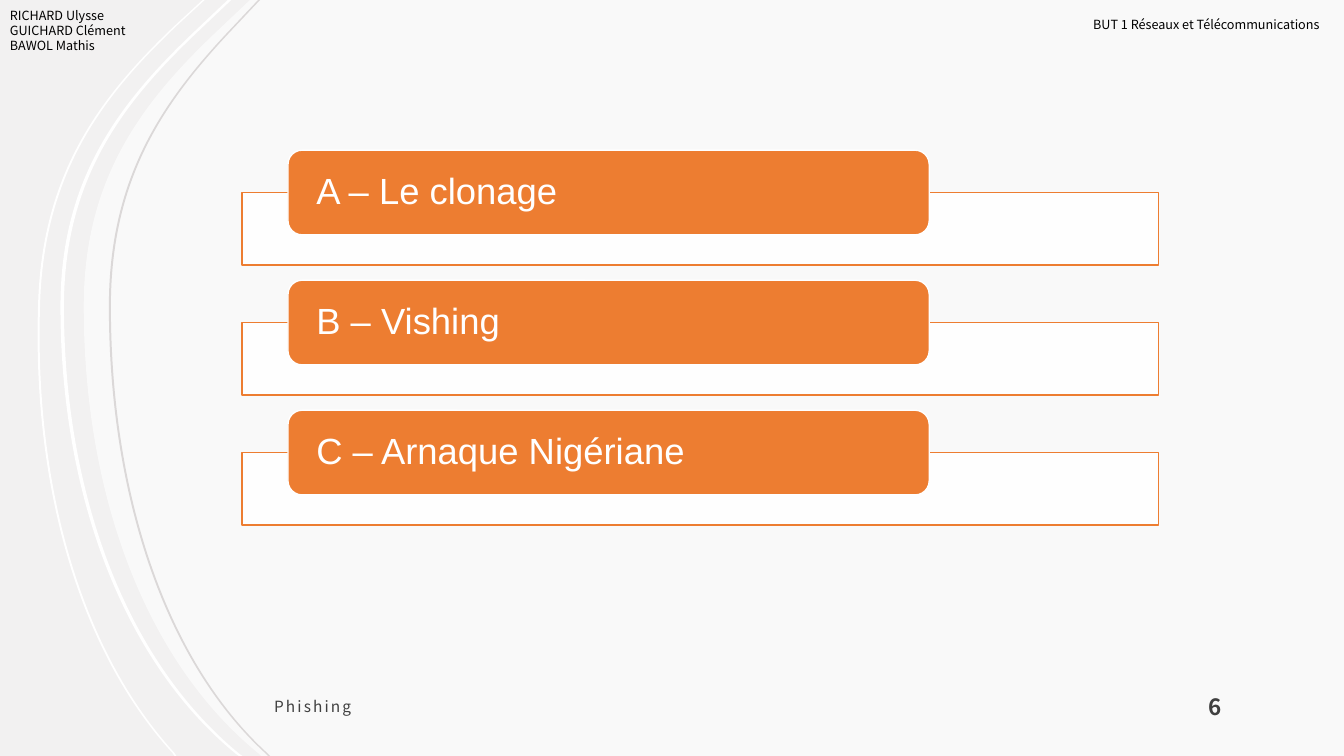
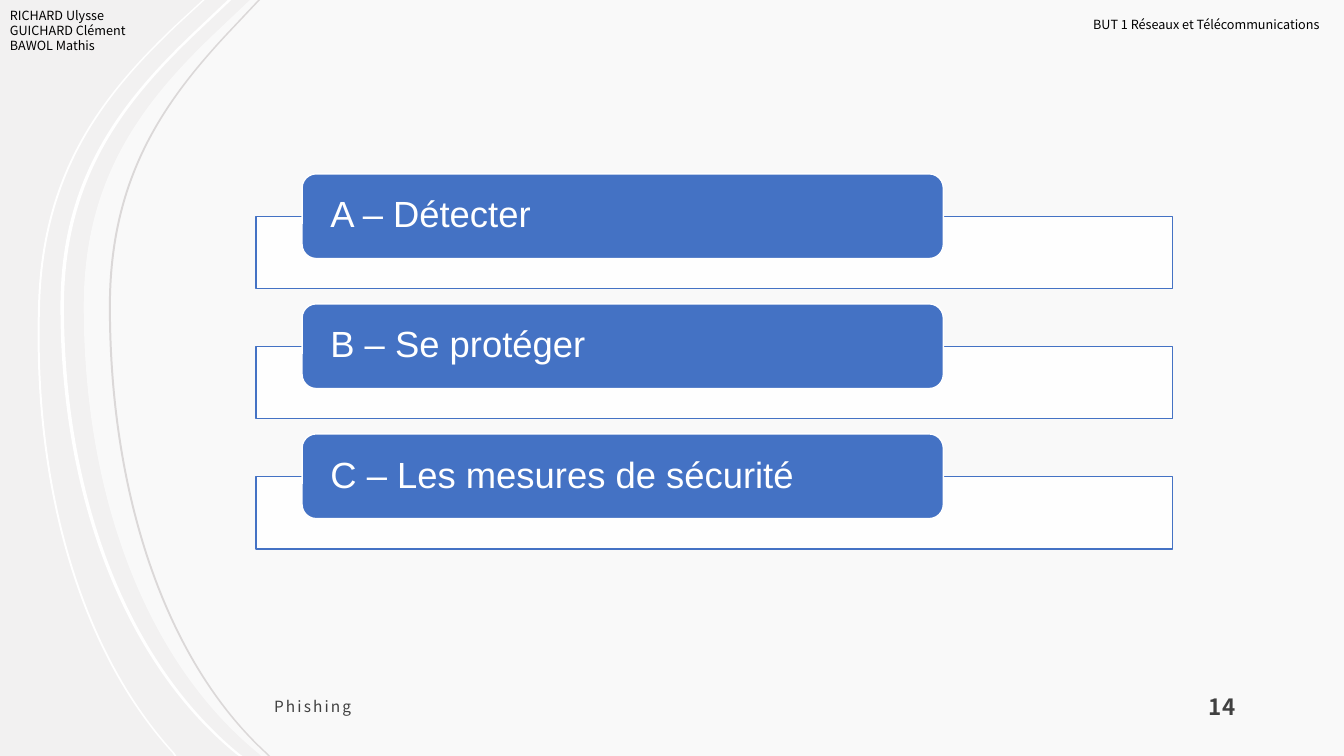
from lxml import etree
from pptx import Presentation
from pptx import util as u
from pptx.dml.color import RGBColor
from pptx.enum import shapes, text
from pptx.oxml import ns

WIDTH, HEIGHT = u.Inches(13.33), u.Inches(7.5)
COLORS = {
    "background": "F2F1F1", "white": "FFFFFF", "line": "DBD8D8",
    "footer": "404040", "header": "000000",
    "orange": "ED7D31", "blue": "4472C4",
}

# Text styles; "spacing" is in hundredths of a point
HEADER = {"name": "Noto Sans CJK JP", "size": u.Pt(9), "color": "header"}
FOOTER = {"name": "Noto Sans CJK JP", "size": u.Pt(11), "color": "footer", "spacing": 150}
NUMBER = {"name": "Noto Sans CJK JP", "size": u.Pt(16), "color": "footer", "bold": True}
LABEL = {"name": "Arial", "size": u.Pt(26), "color": "white"}

# Text frames
HEADER_FRAME = {"word_wrap": False}
FOOTER_FRAME = {
    "word_wrap": True, "vertical_anchor": text.MSO_ANCHOR.MIDDLE,
    "margin_left": u.Inches(0.12), "margin_right": u.Inches(0.12),
    "margin_top": u.Inches(0.12), "margin_bottom": u.Inches(0.1),
}
NUMBER_FRAME = {**FOOTER_FRAME, "vertical_anchor": text.MSO_ANCHOR.BOTTOM}
LABEL_FRAME = {
    "word_wrap": True, "vertical_anchor": text.MSO_ANCHOR.MIDDLE,
    "margin_left": u.Inches(0.24), "margin_right": u.Inches(0.24),
    "margin_top": 0, "margin_bottom": 0,
}

# Arcs, in percent of the slide: two line points, two cubic curves, a line point
ARC_ROWS = [0, 4.67, 13.87, 23.87, 40.53, 65.6, 87.6, 99.73, 100]
OUTER_ROWS = [0, 3.2, 12.4, 22.4, 39.6, 64, 86, 99.6, 100]
PANEL_ARC = [18.6, 15.83, 10.43, 6.23, 6.23, 6.23, 10.88, 19.28, 19.43]
BANDS = [  # columns, rows, thickness, color
    ([15.08, 13.13, 7.65, 3.23, 2.85, 2.33, 5.85, 12.83, 12.98], OUTER_ROWS, 0.15, "white"),
    ([16.95, 14.18, 8.78, 4.5, 4.5, 4.5, 9.23, 17.56, 17.78], ARC_ROWS, 0.26, "white"),
    ([19.2, 16.73, 11.93, 8.1, 8.1, 8.1, 12.3, 19.8, 19.95], ARC_ROWS, 0.15, "line"),
]
EDGE_CURVES = [2, 5]  # where each curve's three points begin
BAND_CURVES = EDGE_CURVES + [9 + start for start in EDGE_CURVES]

# List geometry, in percent of the slide
ROW_PITCH = 17.2
BOX_WIDTH, BOX_HEIGHT = 68.19, 9.6
TAB_WIDTH, TAB_HEIGHT = 47.71, 11.2
TAB_INDENT, TAB_RISE = 3.43, 5.6

SLIDES = [
    {"number": "6", "color": "orange", "left": 18, "top": 25.47,
     "labels": ["A – Le clonage", "B – Vishing", "C – Arnaque Nigériane"]},
    {"number": "14", "color": "blue", "left": 19.05, "top": 28.6,
     "labels": ["A – Détecter", "B – Se protéger", "C – Les mesures de sécurité"]},
]


def rgb(name):
    return RGBColor.from_string(COLORS[name])


def across(percent):
    return round(WIDTH * percent / 100)


def down(percent):
    return round(HEIGHT * percent / 100)


def area(left, top, width, height):
    return across(left), down(top), across(width), down(height)


def paint(shape, fill, line=None, opacity=100):
    shape.shadow.inherit = False
    shape.fill.solid()
    shape.fill.fore_color.rgb = rgb(fill)
    if opacity < 100:
        color = shape._element.spPr.find(ns.qn("a:solidFill"))[0]
        etree.SubElement(color, ns.qn("a:alpha"), val=str(opacity * 1000))
    if line:
        shape.line.color.rgb = rgb(line)
        shape.line.width = u.Pt(1)
    else:
        shape.line.fill.background()


def write(shape, lines, style, frame_format, **paragraph_format):
    frame = shape.text_frame
    for name, value in frame_format.items():
        setattr(frame, name, value)
    frame.text = "\n".join(lines)
    for paragraph in frame.paragraphs:
        paragraph.alignment = text.PP_ALIGN.LEFT
        for name, value in paragraph_format.items():
            setattr(paragraph, name, value)
        for run in paragraph.runs:
            for name in ("name", "size", "bold"):
                setattr(run.font, name, style.get(name))
            run.font.color.rgb = rgb(style["color"])
            if "spacing" in style:
                run._r.get_or_add_rPr().set("spc", str(style["spacing"]))


def add_text(slide, place, lines, style, frame_format, **paragraph_format):
    box = slide.shapes.add_textbox(*area(*place))
    write(box, lines, style, frame_format, **paragraph_format)


def add_box(slide, kind, place, **colors):
    shape = slide.shapes.add_shape(kind, *area(*place))
    paint(shape, **colors)
    return shape


# Curved background
def bend(shape, starts):
    """Turn the three line points from each start into one cubic curve."""
    outline = next(shape._element.iter(ns.qn("a:moveTo"))).getparent()
    segments = list(outline)
    for start in starts:
        curve = etree.Element(ns.qn("a:cubicBezTo"))
        segments[start].addprevious(curve)
        for segment in segments[start:start + 3]:
            curve.append(segment[0])
            outline.remove(segment)


def add_outline(slide, points, curves, fill, opacity=100):
    corners = [(across(x), down(y)) for x, y in points]
    builder = slide.shapes.build_freeform(*corners[0])
    builder.add_line_segments(corners[1:], close=True)
    shape = builder.convert_to_shape()
    bend(shape, curves)
    paint(shape, fill, opacity=opacity)


def add_background(slide):
    panel = [*zip(PANEL_ARC, ARC_ROWS), (100, 100), (100, 0)]
    add_outline(slide, panel, EDGE_CURVES, "white", opacity=60)
    for columns, rows, thickness, color in BANDS:
        edge = list(zip(columns, rows))
        inner = [(x + thickness, y) for x, y in reversed(edge)]
        add_outline(slide, edge + inner, BAND_CURVES, color)


# Headers and footers
def add_footer(slide, number):
    add_text(slide, (19.5, 90, 43.44, 6.67), ["Phishing"], FOOTER, FOOTER_FRAME,
             space_after=u.Pt(6))
    add_text(slide, (89.05, 89.93, 9.75, 6.67), [number], NUMBER, NUMBER_FRAME,
             space_after=u.Pt(6))


def add_header(slide):
    add_text(slide, (0, 0.4, 43.44, 7.47),
             ["RICHARD Ulysse", "GUICHARD Clément", "BAWOL Mathis"], HEADER, HEADER_FRAME)
    add_text(slide, (80.6, 1.6, 19.4, 3.33),
             ["BUT 1 Réseaux et Télécommunications"], HEADER, HEADER_FRAME)


# List of tabs over empty boxes
def add_list(slide, labels, left, top, color):
    for row, label in enumerate(labels):
        box_top = top + row * ROW_PITCH
        add_box(slide, shapes.MSO_SHAPE.RECTANGLE, (left, box_top, BOX_WIDTH, BOX_HEIGHT),
                fill="white", line=color, opacity=90)
        tab = add_box(slide, shapes.MSO_SHAPE.ROUNDED_RECTANGLE,
                      (left + TAB_INDENT, box_top - TAB_RISE, TAB_WIDTH, TAB_HEIGHT),
                      fill=color, line="white")
        write(tab, [label], LABEL, LABEL_FRAME, line_spacing=0.9)


def main():
    presentation = Presentation()
    presentation.slide_width, presentation.slide_height = WIDTH, HEIGHT
    backdrop = presentation.slide_master.background.fill
    backdrop.solid()
    backdrop.fore_color.rgb = rgb("background")
    blank = presentation.slide_layouts.get_by_name("Blank")
    for content in SLIDES:
        slide = presentation.slides.add_slide(blank)
        add_background(slide)
        add_footer(slide, content["number"])
        add_list(slide, content["labels"], content["left"], content["top"], content["color"])
        add_header(slide)
    presentation.save("out.pptx")


if __name__ == "__main__":
    main()
